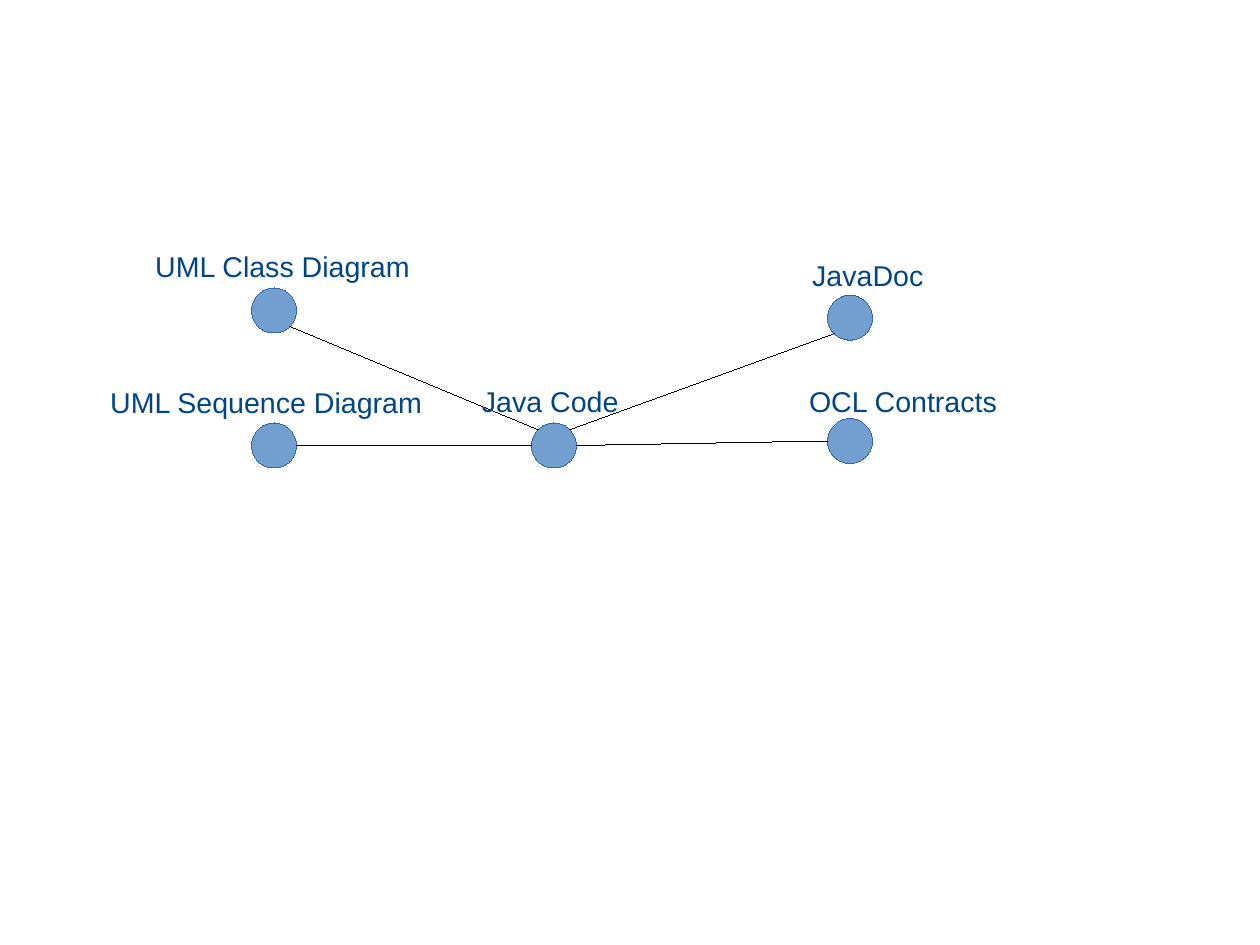
from math import cos, radians, sin

from pptx import Presentation
from pptx.dml.color import RGBColor
from pptx.enum.shapes import MSO_CONNECTOR as Connector, MSO_SHAPE as Shape
from pptx.enum.text import MSO_AUTO_SIZE as AutoSize
from pptx.oxml.ns import qn
from pptx.util import Cm, Pt
from lxml.etree import SubElement

RADIUS = 0.5
HUB = (12.31, 9.9)
LABEL_HEIGHT = 0.97
HAIRLINE = Pt(0.01)


def color(value):
    """Turn a hex string into a colour."""
    return RGBColor.from_string(value)


def add_node(page, center):
    """Draw a circle around a center given in centimetres."""
    x, y = center
    node = page.shapes.add_shape(Shape.OVAL, Cm(x - RADIUS), Cm(y - RADIUS),
                                 Cm(2 * RADIUS), Cm(2 * RADIUS))
    node.shadow.inherit = False
    node.fill.solid()
    node.fill.fore_color.rgb = color("729FCF")
    node.line.color.rgb = color("3465A4")
    node.line.width = HAIRLINE


def rim_point(center, angle):
    """Return the point of a circle at an angle, clockwise from the right."""
    x, y = center
    turn = radians(angle)
    return Cm(x + RADIUS * cos(turn)), Cm(y + RADIUS * sin(turn))


def add_link(page, center, angle):
    """Join the hub, left at an angle, to the facing rim of a node."""
    link = page.shapes.add_connector(Connector.STRAIGHT, *rim_point(HUB, angle),
                                     *rim_point(center, angle + 180))
    link.line.color.rgb = color("000000")
    link.line.width = HAIRLINE
    SubElement(link._element.spPr, qn("a:effectLst"))


def add_label(page, text, *, left, top, width, size=18, font="Arial", ink="004586"):
    """Write a one-line label, placed in centimetres."""
    box = page.shapes.add_textbox(Cm(left), Cm(top), Cm(width), Cm(LABEL_HEIGHT))
    frame = box.text_frame
    frame.word_wrap = True
    frame.auto_size = AutoSize.NONE
    span = frame.paragraphs[0].add_run()
    span.text = text
    span.font.name = font
    span.font.size = Pt(size)
    span.font.color.rgb = color(ink)


def main():
    """Build the slide with the Java code and its related artifacts."""
    deck = Presentation()
    deck.slide_width, deck.slide_height = Cm(28), Cm(21)
    page = deck.slides.add_slide(deck.slide_layouts[6])

    artifacts = [
        ((18.89, 9.8), 0),
        ((18.89, 7.06), -45),
        ((6.09, 6.9), -135),
        ((6.09, 9.9), 180),
    ]
    labels = [
        ("UML Class Diagram", 3.2, 5.41, 6.5),
        ("JavaDoc", 17.8, 5.6, 3.4),
        ("Java Code", 10.46, 8.41, 3.9),
        ("OCL Contracts", 17.73, 8.41, 5),
        ("UML Sequence Diagram", 2.2, 8.43, 7.8),
    ]

    add_node(page, HUB)
    for center, angle in artifacts:
        add_node(page, center)
        add_link(page, center, angle)
    for text, left, top, width in labels:
        add_label(page, text, left=left, top=top, width=width)

    deck.save("out.pptx")


if __name__ == "__main__":
    main()
